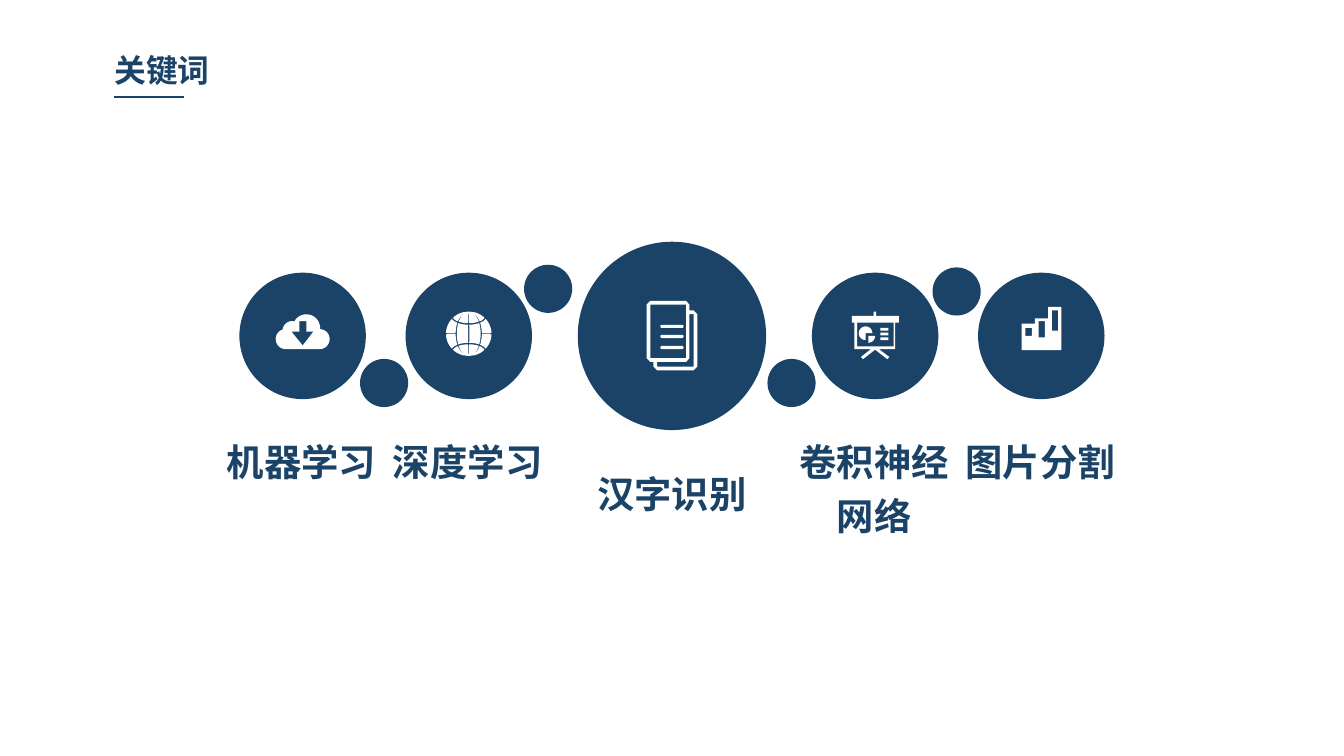
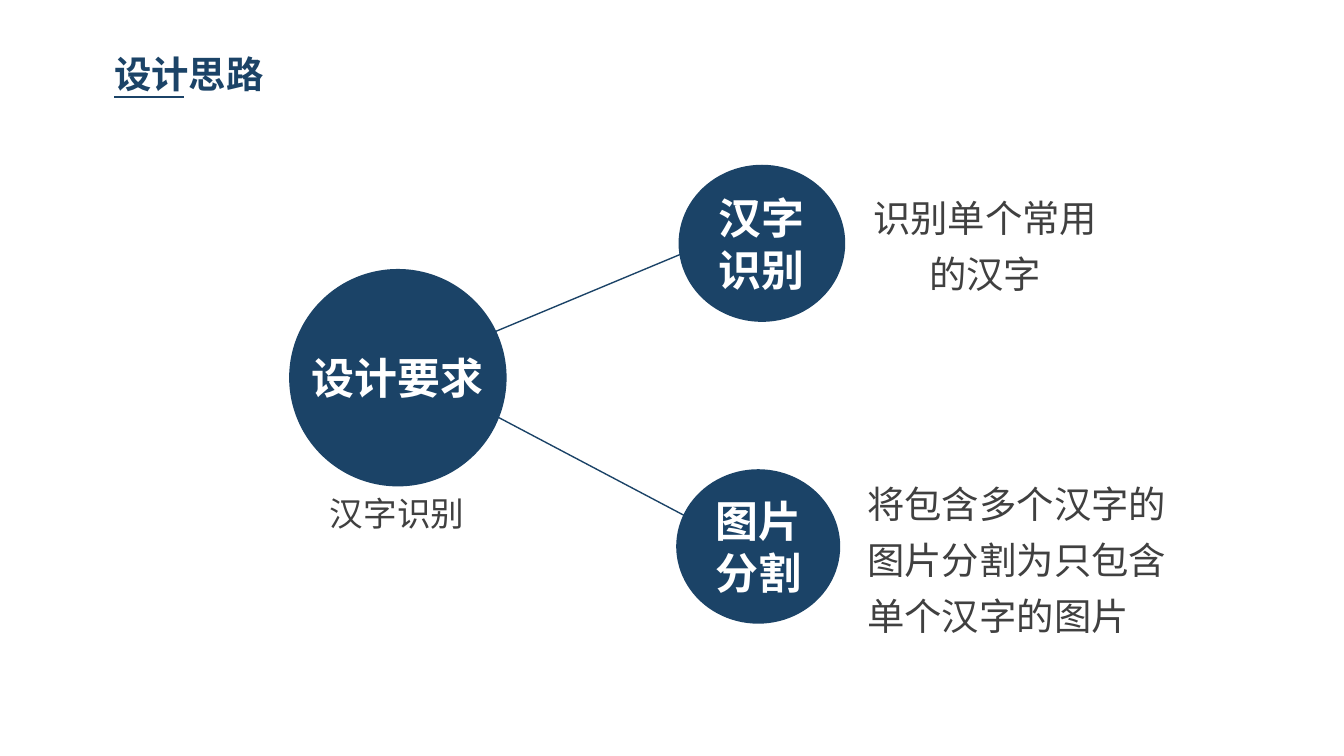
from math import cos, radians, sin, sqrt

from lxml import etree
from pptx import Presentation
from pptx.dml.color import RGBColor
from pptx.enum.shapes import MSO_CONNECTOR, MSO_SHAPE
from pptx.enum.text import MSO_AUTO_SIZE, PP_ALIGN
from pptx.oxml.ns import qn
from pptx.util import Cm, Pt

OVAL, PILL = MSO_SHAPE.OVAL, MSO_SHAPE.ROUNDED_RECTANGLE
STRAIGHT = MSO_CONNECTOR.STRAIGHT
LEFT, CENTER = PP_ALIGN.LEFT, PP_ALIGN.CENTER
GROW, FIXED = MSO_AUTO_SIZE.SHAPE_TO_FIT_TEXT, MSO_AUTO_SIZE.NONE
FONT = "Noto Sans CJK SC"
COLORS = {"navy": "1B4367", "white": "FFFFFF", "grey": "404040"}
NO_INSET, SMALL_INSET, INSET = (0, 0), (0.18, 0.1), (0.25, 0.13)


def rgb(name):
    """Return a palette colour."""
    return RGBColor.from_string(COLORS[name])


def paint(sp, color):
    """Give a shape a plain fill with no line or shadow."""
    sp.shadow.inherit = False
    sp.fill.solid()
    sp.fill.fore_color.rgb = rgb(color)
    sp.line.fill.background()


def circle(shapes, cx, cy, w, h=None):
    """Draw a navy ellipse around a centre."""
    h = h or w
    sp = shapes.add_shape(OVAL, Cm(cx - w / 2), Cm(cy - h / 2), Cm(w), Cm(h))
    paint(sp, "navy")


def line(s, x1, y1, x2, y2):
    """Draw a thin navy line."""
    c = s.shapes.add_connector(STRAIGHT, Cm(x1), Cm(y1), Cm(x2), Cm(y2))
    c.line.color.rgb = rgb("navy")
    c.line.width = Pt(0.75)
    etree.SubElement(c._element.spPr, qn("a:effectLst"))


def text(shapes, box, lines, size, color, bold=False, align=CENTER,
         inset=SMALL_INSET, spacing=None, fit=GROW):
    """Add a wrapped text box with one paragraph for each line."""
    tf = shapes.add_textbox(*map(Cm, box)).text_frame
    tf.word_wrap = True
    tf.auto_size = fit
    tf.margin_left = tf.margin_right = Cm(inset[0])
    tf.margin_top = tf.margin_bottom = Cm(inset[1])
    tf.text = "\n".join(lines)
    for p in tf.paragraphs:
        p.alignment = align
        if spacing:
            p.line_spacing = spacing
        for r in p.runs:
            r.font.size = Pt(size)
            r.font.bold = bold
            r.font.name = FONT
            r.font.color.rgb = rgb(color)
            ea = etree.SubElement(r._r.get_or_add_rPr(), qn("a:ea"))
            ea.set("typeface", FONT)


def label(s, cx, top, w, h, words):
    """Write a keyword below its circle."""
    text(s.shapes, (cx - w / 2, top, w, h), [words], 20, "navy", True,
         inset=NO_INSET, spacing=1.2, fit=FIXED)


def node(s, cx, cy, w, h, text_h, lines):
    """Group a circle with its white caption."""
    shapes = s.shapes.add_group_shape().shapes
    circle(shapes, cx, cy, w, h)
    text(shapes, (cx - w / 2, cy - text_h / 2, w, text_h), lines, 23,
         "white", True, inset=INSET)


def new_slide(prs, title, size, height):
    """Add a blank slide with the underlined title."""
    s = prs.slides.add_slide(prs.slide_layouts[6])
    text(s.shapes, (1.98, 0.86, 6.27, height), [title], size, "navy", True,
         align=LEFT)
    line(s, 2.16, 1.83, 3.48, 1.83)
    return s


def icon(s, *contours):
    """Draw closed contours in centimetres as one white outline."""
    builder = None
    for contour in contours:
        points = [(Cm(x), Cm(y)) for x, y in contour]
        if builder is None:
            builder = s.shapes.build_freeform(*points[0])
        else:
            builder.move_to(*points[0])
        builder.add_line_segments(points[1:], close=True)
    paint(builder.convert_to_shape(), "white")


def arc(cx, cy, r, start, end, steps=14):
    """Return points on an arc, with angles clockwise in degrees."""
    angles = [radians(start + (end - start) * i / steps) for i in range(steps + 1)]
    return [(cx + r * cos(a), cy + r * sin(a)) for a in angles]


def rect(x1, y1, x2, y2):
    """Return the corners of a rectangle."""
    return [(x1, y1), (x2, y1), (x2, y2), (x1, y2)]


def cloud_icon(s):
    """Draw a cloud with a download arrow cut out."""
    cloud = (arc(5.4, 6.41, 0.19, 90, 255) + arc(5.52, 6.25, 0.18, 180, 290)
             + arc(5.79, 6.2, 0.26, 205, 365) + arc(6.04, 6.41, 0.19, 270, 450))
    arrow = [(5.72, 6.53), (5.51, 6.27), (5.66, 6.27), (5.66, 6.07),
             (5.79, 6.07), (5.79, 6.27), (5.92, 6.27)]
    icon(s, cloud, arrow)


def globe_point(u, t):
    """Map a longitude and a latitude from -1 to 1 onto the globe."""
    y = t * (1 - 0.73 * (1 - u * u) * (1 - t * t))
    return 8.86 + 0.43 * u * sqrt(max(0, 1 - y * y)), 6.31 + 0.42 * y


def bands(edges, gap=0.025):
    """Return neighbouring spans with a gap at each inner edge."""
    return [(a + gap * (a > -1), b - gap * (b < 1))
            for a, b in zip(edges, edges[1:])]


def globe_icon(s):
    """Draw a globe as patches between meridians and parallels."""
    steps = [i / 8 for i in range(9)]
    patches = []
    for u1, u2 in bands([-1, -0.55, 0, 0.55, 1]):
        for t1, t2 in bands([-1, -0.7, 0, 0.7, 1]):
            us = [u1 + (u2 - u1) * k for k in steps]
            ts = [t1 + (t2 - t1) * k for k in steps]
            ring = ([(u, t1) for u in us] + [(u2, t) for t in ts]
                    + [(u, t2) for u in us[::-1]] + [(u1, t) for t in ts[::-1]])
            patches.append([globe_point(u, t) for u, t in ring])
    icon(s, *patches)


def pages_icon(s):
    """Draw two stacked pages with three text lines."""
    outer = [(12.29, 5.69), (12.97, 5.69), (13.03, 5.76), (13.03, 5.87),
             (13.11, 5.87), (13.18, 5.94), (13.18, 6.93), (13.11, 7.0),
             (12.42, 7.0), (12.35, 6.93), (12.35, 6.84), (12.29, 6.84),
             (12.22, 6.77), (12.22, 5.76)]
    back = [(13.11, 6.93), (12.42, 6.93), (12.42, 6.84), (12.97, 6.84),
            (13.03, 6.77), (13.03, 5.94), (13.11, 5.94)]
    icon(s, outer, rect(12.29, 5.76, 12.97, 6.77), back)
    for y in (6.14, 6.33, 6.54):
        sp = s.shapes.add_shape(PILL, Cm(12.48), Cm(y), Cm(0.44), Cm(0.06))
        sp.adjustments[0] = 0.5
        paint(sp, "white")


def easel_icon(s):
    """Draw a presentation board with a pie and three lines."""
    board = [(16.56, 5.97), (16.56, 5.89), (16.51, 5.89), (16.51, 5.97),
             (16.1, 5.97), (16.1, 6.1), (16.15, 6.1), (16.15, 6.6),
             (16.46, 6.6), (16.27, 6.75), (16.31, 6.79), (16.54, 6.61),
             (16.77, 6.79), (16.81, 6.75), (16.61, 6.6), (16.92, 6.6),
             (16.92, 6.1), (16.99, 6.1), (16.99, 5.97)]
    pie = [(16.36, 6.3)] + arc(16.36, 6.3, 0.13, 90, 360)
    slice_ = [(16.41, 6.35)] + arc(16.41, 6.35, 0.13, 0, 90)
    rows = [rect(16.64, y, 16.79, y + 0.05) for y in (6.2, 6.29, 6.38)]
    icon(s, board, rect(16.2, 6.1, 16.89, 6.55), pie, slice_, *rows)


def folders_icon(s):
    """Draw three folders of rising height, each with a window."""
    for i, (top, y1, y2) in enumerate([(6.12, 6.2, 6.35), (6.02, 6.07, 6.38),
                                       (5.8, 5.87, 6.25)]):
        x = 19.31 + 0.25 * i
        icon(s, rect(x, top, x + 0.25, 6.62), rect(x + 0.07, y1, x + 0.19, y2))


def keywords_slide(prs):
    """Build the row of keyword circles."""
    s = new_slide(prs, "关键词", 17, 0.91)
    circle(s.shapes, 12.7, 6.35, 3.56)
    label(s, 12.7, 8.74, 2.92, 1.57, "汉字识别")
    for cx, words in [(5.72, "机器学习"), (8.86, "深度学习"),
                      (16.54, "卷积神经网络"), (19.68, "图片分割")]:
        circle(s.shapes, cx, 6.35, 2.39)
        label(s, cx - 0.02, 8.13, 3, 1.83, words)
    for cx, cy in [(7.26, 7.24), (10.36, 5.46), (14.96, 7.24), (18.08, 5.51)]:
        circle(s.shapes, cx, cy, 0.91)
    for draw in (cloud_icon, globe_icon, pages_icon, easel_icon, folders_icon):
        draw(s)


def design_slide(prs):
    """Build the tree of design requirements."""
    s = new_slide(prs, "设计思路", 20, 1.04)
    line(s, 7.82, 6.91, 14.1, 4.29)
    line(s, 8, 7.14, 14.1, 10.36)
    node(s, 14.4, 4.6, 3.15, 2.97, 2.21, ["汉字", "识别"])
    node(s, 14.33, 10.33, 3.1, 2.92, 2.21, ["图片", "分割"])
    node(s, 7.52, 7.14, 4.11, 4.11, 1.24, ["设计要求"])
    text(s.shapes, (15.98, 3.38, 5.28, 2.34), ["识别单个常用的汉字"], 20,
         "grey", spacing=1.25)
    text(s.shapes, (16.21, 8.79, 6.38, 3.4),
         ["将包含多个汉字的图片分割为只包含单个汉字的图片"], 20,
         "grey", align=LEFT, spacing=1.25)
    text(s.shapes, (4.04, 9.45, 6.93, 0.71), ["汉字识别"], 18, "grey",
         spacing=Pt(15))


def main():
    """Build and save the presentation."""
    prs = Presentation()
    prs.slide_width, prs.slide_height = Cm(25.4), Cm(14.29)
    keywords_slide(prs)
    design_slide(prs)
    prs.save("out.pptx")


main()
